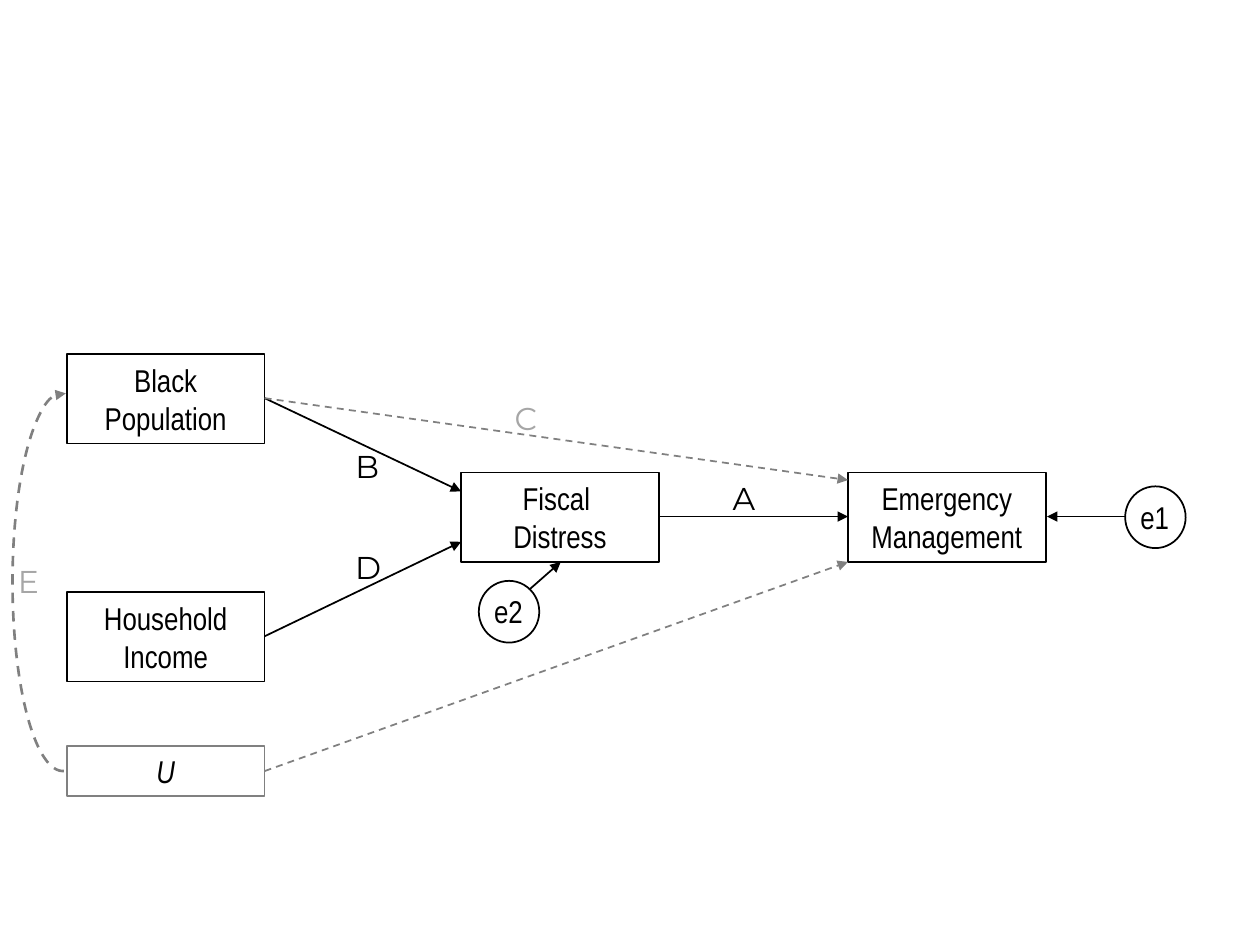
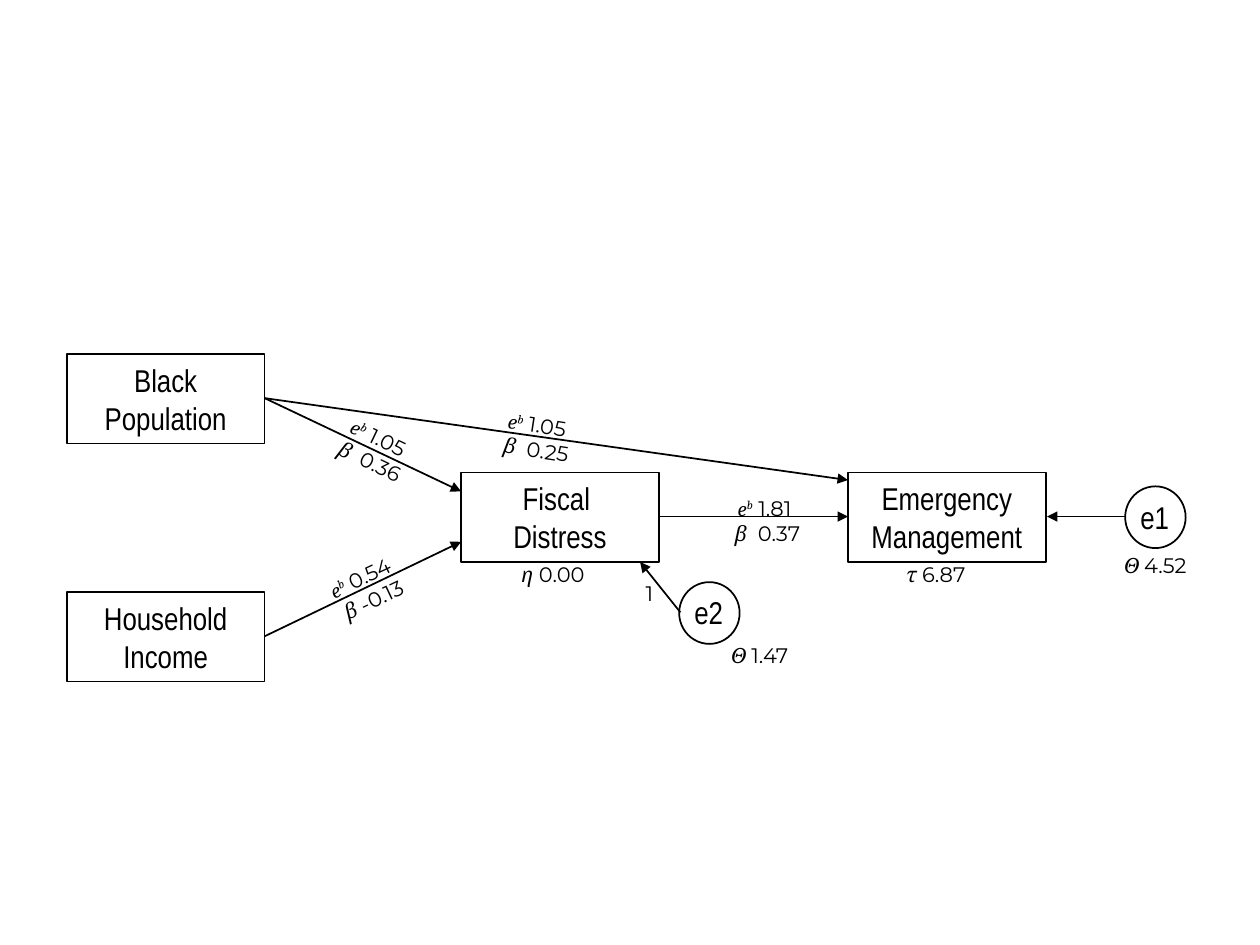
from dataclasses import dataclass
from typing import NamedTuple

from lxml.etree import SubElement as add_xml
from pptx import Presentation
from pptx.dml.color import RGBColor as Color
from pptx.enum.dml import MSO_LINE_DASH_STYLE as Dash
from pptx.enum.shapes import MSO_CONNECTOR as Connector, MSO_SHAPE as Preset
from pptx.enum.text import MSO_ANCHOR as Anchor, MSO_AUTO_SIZE as AutoSize, PP_ALIGN as Align
from pptx.oxml.ns import qn
from pptx.util import Emu, Pt

PX = 9144  # 100 px to the inch


@dataclass(frozen=True)
class Theme:
    ink: str = "000000"
    muted: str = "808080"
    faint: str = "A6A6A6"
    node_font: str = "Arial Narrow"
    label_font: str = "Montserrat"
    symbol_font: str = "Cambria"
    node_size: int = 18
    value_size: int = 12
    line_width: float = 1
    arc_width: float = 1.5


THEME = Theme()


class Span(NamedTuple):
    text: str
    font: str = THEME.label_font
    italic: bool = False
    raised: bool = False


class Frame(NamedTuple):
    left: int
    top: int
    width: int
    height: int


class Node(NamedTuple):
    frame: Frame
    lines: tuple[str, ...]
    color: str = THEME.ink
    italic: bool = False


class Arrow(NamedTuple):
    start: tuple[int, int]
    end: tuple[int, int]
    dashed: bool = False


class Letter(NamedTuple):
    text: str
    left: int
    top: int
    color: str = THEME.ink


class Coefficient(NamedTuple):
    left: int
    top: int
    odds: str
    beta: str
    angle: float = 0


class Parameter(NamedTuple):
    left: int
    top: int
    symbol: str
    value: str


# Parts of the path model found on both slides
NODES = (
    Node(Frame(673, 375, 157, 71), ("Emergency", "Management")),
    Node(Frame(366, 375, 157, 71), ("Fiscal ", "Distress")),
    Node(Frame(53, 281, 157, 71), ("Black Population",)),
    Node(Frame(53, 470, 157, 71), ("Household Income",)),
)
POPULATION_EXIT = (210, 316)
DIRECT_END = (673, 381)
ARROWS = (
    Arrow((524, 410), (673, 410)),
    Arrow((893, 410), (831, 410)),
    Arrow(POPULATION_EXIT, (366, 390)),
    Arrow((210, 505), (366, 430)),
)

# Hypothesised paths
UNOBSERVED = Node(Frame(53, 592, 157, 40), ("U",), THEME.muted, italic=True)
LETTERS = (
    Letter("A", 571, 375),
    Letter("B", 272, 350),
    Letter("D", 272, 430),
    Letter("C", 398, 312, THEME.faint),
    Letter("E", 3, 441, THEME.faint),
)

# Estimated paths
COEFFICIENTS = (
    Coefficient(228, 332, " 1.05 ", "  0.36", 25.5),
    Coefficient(539, 388, " 1.81 ", "  0.37"),
    Coefficient(222, 442, " 0.54 ", " -0.13", 334.6),
    Coefficient(357, 322, " 1.05 ", "  0.25", 8.7),
)
PARAMETERS = (
    Parameter(533, 505, "Θ ", "1.47"),
    Parameter(371, 441, "η", " 0.00 "),
    Parameter(675, 441, "τ", " 6.87 "),
    Parameter(847, 434, "Θ ", "4.52"),
)


def to_emu(values) -> list[Emu]:
    return [Emu(value * PX) for value in values]


def symbol(text: str, raised: bool = False) -> Span:
    return Span(text, THEME.symbol_font, italic=True, raised=raised)


def write_text(shape, lines, *, size: int = THEME.node_size, color: str = THEME.ink,
               anchor=Anchor.TOP) -> None:
    """Fill a shape with centred paragraphs, each a list of spans."""
    body = shape.text_frame
    body.word_wrap = True
    body.auto_size = AutoSize.SHAPE_TO_FIT_TEXT
    body.vertical_anchor = anchor
    for index, spans in enumerate(lines):
        para = body.add_paragraph() if index else body.paragraphs[0]
        para.alignment = Align.CENTER
        for span in spans:
            run = para.add_run()
            run.text = span.text
            run.font.name = span.font
            run.font.size = Pt(size)
            run.font.italic = span.italic
            run.font.color.rgb = Color.from_string(color)
            if span.raised:
                run.font._element.set("baseline", "30000")


def style_line(line, color: str, *, width: float = THEME.line_width,
               dashed: bool = False, arrow: bool = False) -> None:
    line.color.rgb = Color.from_string(color)
    line.width = Pt(width)
    if dashed:
        line.dash_style = Dash.DASH
    if arrow:
        add_xml(line._get_or_add_ln(), qn("a:tailEnd"), type="triangle")


def add_outline(shapes, preset, frame: Frame, color: str, **line_format):
    shape = shapes.add_shape(preset, *to_emu(frame))
    shape.shadow.inherit = False
    shape.fill.background()
    style_line(shape.line, color, **line_format)
    return shape


def add_label(shapes, frame: Frame, lines, *, angle: float = 0, **text_format) -> None:
    box = shapes.add_textbox(*to_emu(frame))
    box.rotation = angle
    write_text(box, lines, **text_format)


def add_node(page, node: Node) -> None:
    shape = add_outline(page.shapes, Preset.RECTANGLE, node.frame, node.color)
    lines = [[Span(line, THEME.node_font, node.italic)] for line in node.lines]
    write_text(shape, lines, anchor=Anchor.MIDDLE)


def add_arrow(page, arrow: Arrow) -> None:
    connector = page.shapes.add_connector(
        Connector.STRAIGHT, *to_emu(arrow.start + arrow.end))
    color = THEME.muted if arrow.dashed else THEME.ink
    style_line(connector.line, color, dashed=arrow.dashed, arrow=True)
    add_xml(connector._element.spPr, qn("a:effectLst"))


def add_error_term(page, name: str, left: int, top: int) -> None:
    group = page.shapes.add_group_shape()
    add_outline(group.shapes, Preset.OVAL, Frame(left, top, 48, 49), THEME.ink)
    add_label(group.shapes, Frame(left, top + 4, 47, 40), [[Span(name, THEME.node_font)]])


def add_arc(page, frame: Frame, start: float, end: float) -> None:
    arc = add_outline(page.shapes, Preset.ARC, frame, THEME.muted,
                      width=THEME.arc_width, dashed=True, arrow=True)
    for index, degrees in enumerate((start, end)):
        arc.adjustments[index] = degrees * 0.6  # 60000 units a degree, scaled by 100000


def add_model_page(deck):
    """Start a page with the shared nodes, arrows and first error term."""
    page = deck.slides.add_slide(deck.slide_layouts[6])
    for node in NODES:
        add_node(page, node)
    for arrow in ARROWS:
        add_arrow(page, arrow)
    add_error_term(page, "e1", 893, 386)
    return page


def build_hypotheses(deck) -> None:
    page = add_model_page(deck)
    add_node(page, UNOBSERVED)
    add_arrow(page, Arrow(POPULATION_EXIT, DIRECT_END, dashed=True))
    add_arrow(page, Arrow((210, 612), (673, 446), dashed=True))
    add_arrow(page, Arrow((420, 468), (445, 446)))
    add_error_term(page, "e2", 380, 461)
    add_arc(page, Frame(10, 312, 80, 300), 89.7, 270.9)
    for letter in LETTERS:
        add_label(page.shapes, Frame(letter.left, letter.top, 39, 40),
                  [[Span(letter.text)]], color=letter.color)


def build_estimates(deck) -> None:
    page = add_model_page(deck)
    add_arrow(page, Arrow(POPULATION_EXIT, DIRECT_END))
    add_arrow(page, Arrow((540, 486), (508, 446)))
    add_error_term(page, "e2", 539, 462)
    add_label(page.shapes, Frame(492, 456, 47, 30), [[Span("1")]], size=THEME.value_size)
    for item in COEFFICIENTS:
        lines = [[symbol("e"), symbol("b", raised=True), Span(item.odds)],
                 [symbol("β"), Span(item.beta)]]
        add_label(page.shapes, Frame(item.left, item.top, 140, 50), lines,
                  angle=item.angle, size=THEME.value_size)
    for item in PARAMETERS:
        add_label(page.shapes, Frame(item.left, item.top, 140, 30),
                  [[symbol(item.symbol), Span(item.value)]], size=THEME.value_size)


def main() -> None:
    deck = Presentation()
    deck.slide_width, deck.slide_height = to_emu((1000, 750))
    build_hypotheses(deck)
    build_estimates(deck)
    deck.save("out.pptx")


if __name__ == "__main__":
    main()
